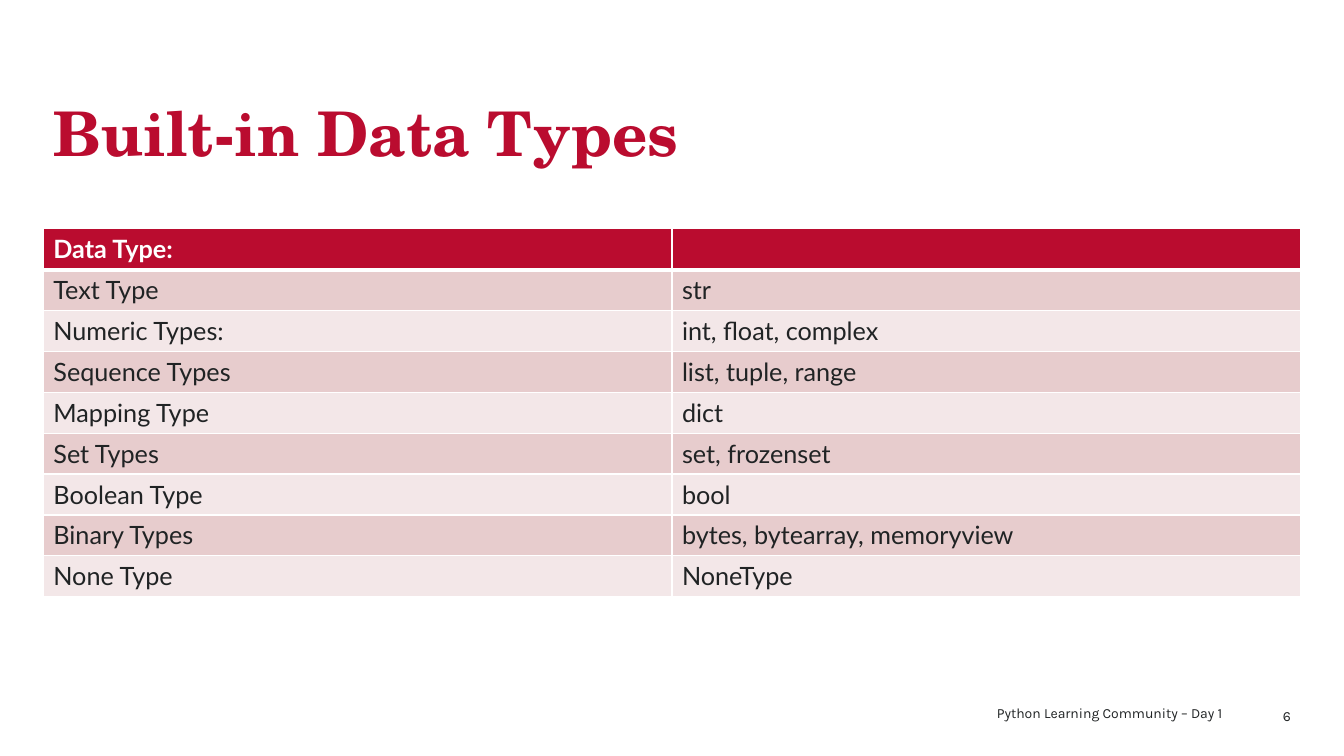
"""Build the slide that lists Python's built-in data types."""
from lxml import etree
from pptx import Presentation
from pptx import util as u
from pptx.dml.color import RGBColor
from pptx.enum import text
from pptx.oxml import ns

PX = 9144
RED = RGBColor(0xBA, 0x0C, 0x2F)
INK = RGBColor(0x20, 0x23, 0x24)
WHITE = RGBColor(0xFF, 0xFF, 0xFF)
ROSE = RGBColor(0xE7, 0xCC, 0xCD)
BLUSH = RGBColor(0xF3, 0xE7, 0xE8)
ROWS = [
    ("Data Type:", ""),
    ("Text Type", "str"),
    ("Numeric Types:", "int, float, complex"),
    ("Sequence Types", "list, tuple, range"),
    ("Mapping Type", "dict"),
    ("Set Types", "set, frozenset"),
    ("Boolean Type", "bool"),
    ("Binary Types", "bytes, bytearray, memoryview"),
    ("None Type", "NoneType"),
]


def add_span(para, words, font, size, color, bold=False):
    span = para.add_run()
    span.text = words
    span.font.name = font
    span.font.size = u.Pt(size)
    span.font.color.rgb = color
    span.font.bold = bold


def add_border(cell, side, points):
    line = etree.SubElement(cell._tc.get_or_add_tcPr(), ns.qn(f"a:{side}"), w=str(u.Pt(points)))
    fill = etree.SubElement(line, ns.qn("a:solidFill"))
    etree.SubElement(fill, ns.qn("a:srgbClr"), val=str(WHITE))


deck = Presentation()
deck.slide_width = 1333 * PX
deck.slide_height = 750 * PX
page = deck.slides.add_slide(deck.slide_layouts[6])

TOP, MIDDLE = text.MSO_ANCHOR.TOP, text.MSO_ANCHOR.MIDDLE
LEFT, RIGHT = text.PP_ALIGN.LEFT, text.PP_ALIGN.RIGHT
labels = [
    ("Built-in Data Types", (43, 98, 1247, 92), TOP, LEFT, 0.9, "TeX Gyre Schola", 44, RED, True),
    ("Python Learning Community – Day 1", (493, 689, 729, 37), MIDDLE, RIGHT, 1.0, "Karla", 10, INK, False),
    ("6", (1236, 690, 54, 40), MIDDLE, RIGHT, 1.0, "Karla", 10, INK, False),
]
for words, place, anchor, align, spacing, font, size, color, bold in labels:
    box = page.shapes.add_textbox(*(length * PX for length in place))
    box.text_frame.word_wrap = True
    box.text_frame.vertical_anchor = anchor
    para = box.text_frame.paragraphs[0]
    para.alignment = align
    para.line_spacing = spacing
    add_span(para, words, font, size, color, bold)

table = page.shapes.add_table(len(ROWS), 2, 43 * PX, 227 * PX, 1247 * PX, 365 * PX).table
for row, entries in enumerate(ROWS):
    header = row == 0
    for column, words in enumerate(entries):
        cell = table.cell(row, column)
        for side in ("lnL", "lnR", "lnT", "lnB"):
            add_border(cell, side, 3 if header and side == "lnB" else 1)
        cell.fill.solid()
        cell.fill.fore_color.rgb = RED if header else ROSE if row % 2 else BLUSH
        if words:
            para = cell.text_frame.paragraphs[0]
            add_span(para, words, "Lato", 18, WHITE if header else INK, header)

deck.save("out.pptx")
